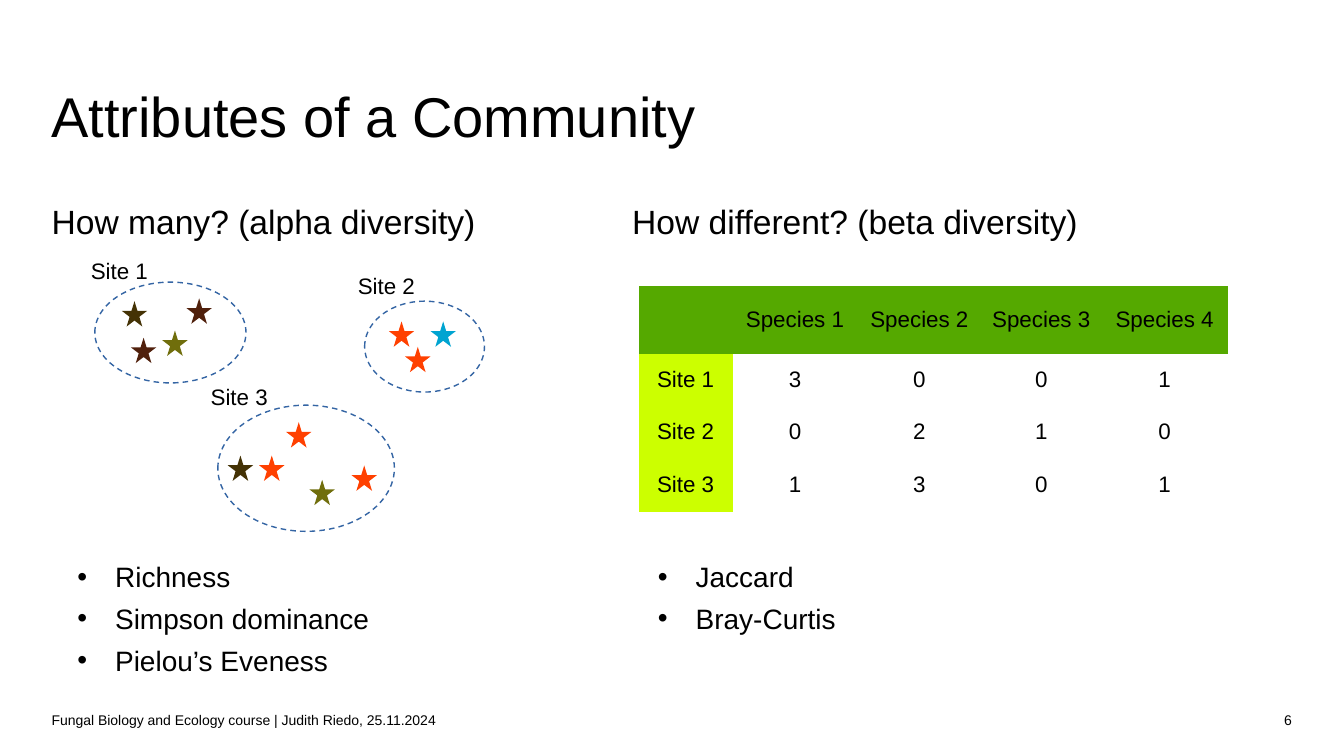
"""Build the slide on alpha and beta diversity of a community."""
from dataclasses import dataclass

from lxml import etree
from pptx import Presentation
from pptx import util as u
from pptx.dml.color import RGBColor
from pptx.enum import dml, shapes, text
from pptx.oxml import ns


@dataclass(frozen=True)
class Theme:
    font: str = "Arial"
    ink: str = "000000"
    paper: str = "FFFFFF"
    outline: str = "3465A4"
    header: str = "55A900"
    site: str = "CCFF00"
    brown: str = "443205"
    maroon: str = "50200C"
    olive: str = "706E0C"
    orange: str = "FF4000"
    blue: str = "00A4D1"
    title_size: int = 40
    heading_size: int = 24
    bullet_size: int = 20
    label_size: int = 16
    footer_size: int = 10


theme = Theme()


def style(paragraph, size, align=text.PP_ALIGN.LEFT):
    paragraph.alignment = align
    paragraph.font.name = theme.font
    paragraph.font.size = u.Pt(size)
    paragraph.font.color.rgb = RGBColor.from_string(theme.ink)


def place(holder, left, top, width, height, anchor=text.MSO_ANCHOR.TOP):
    holder.left, holder.top = u.Cm(left), u.Cm(top)
    holder.width, holder.height = u.Cm(width), u.Cm(height)
    frame = holder.text_frame
    frame.margin_left = frame.margin_right = frame.margin_top = frame.margin_bottom = 0
    frame.word_wrap = True
    frame.auto_size = text.MSO_AUTO_SIZE.NONE
    frame.vertical_anchor = anchor
    return frame


deck = Presentation()
deck.slide_width, deck.slide_height = u.Cm(33.87), u.Cm(19.05)
slide = deck.slides.add_slide(deck.slide_layouts[3])

title = place(slide.shapes.title, 1.3, 0.94, 31.27, 3.91, text.MSO_ANCHOR.MIDDLE)
title.text = "Attributes of a Community"
style(title.paragraphs[0], theme.title_size)

questions = [
    (1, 1.3, 14.63, "How many? (alpha diversity)",
     ["Richness", "Simpson dominance", "Pielou’s Eveness"]),
    (2, 15.93, 16.64, "How different? (beta diversity)", ["Jaccard", "Bray-Curtis"]),
]
for index, left, width, question, measures in questions:
    body = place(slide.placeholders[index], left, 5.05, width, 12.5)
    heading = body.paragraphs[0]
    heading.text = question
    heading_props = heading._p.get_or_add_pPr()
    heading_props.set("marL", "0")
    heading_props.set("indent", "0")
    etree.SubElement(heading_props, ns.qn("a:buNone"))
    heading.space_before = u.Pt(0)
    style(heading, theme.heading_size)
    for rank, measure in enumerate(measures):
        bullet = body.add_paragraph()
        bullet.text = measure
        bullet.level = 1
        bullet_props = bullet._p.get_or_add_pPr()
        bullet_props.set("marL", str(u.Cm(1.6)))
        bullet_props.set("indent", str(u.Cm(-0.95)))
        etree.SubElement(bullet_props, ns.qn("a:buFont"), typeface=theme.font)
        etree.SubElement(bullet_props, ns.qn("a:buChar"), char="•")
        bullet.space_before = u.Pt(5.7 if rank else 228)
        style(bullet, theme.bullet_size)

footers = [
    (1.3, 27.36, "Fungal Biology and Ecology course | Judith Riedo, 25.11.2024",
     text.PP_ALIGN.LEFT),
    (28.65, 3.91, "6", text.PP_ALIGN.RIGHT),
]
for left, width, wording, align in footers:
    footer = place(slide.shapes.add_textbox(0, 0, 0, 0), left, 17.75, width, 0.79,
                   text.MSO_ANCHOR.MIDDLE)
    footer.text = wording
    style(footer.paragraphs[0], theme.footer_size, align)

counts = [
    ["", "Species 1", "Species 2", "Species 3", "Species 4"],
    ["Site 1", "3", "0", "0", "1"],
    ["Site 2", "0", "2", "1", "0"],
    ["Site 3", "1", "3", "0", "1"],
]
column_widths = [2.36, 3.15, 3.12, 3.02, 3.2]
row_heights = [1.7, 1.32, 1.32, 1.35]
table_frame = slide.shapes.add_table(
    len(counts), len(column_widths), u.Cm(16.1), u.Cm(7.21),
    u.Cm(sum(column_widths)), u.Cm(sum(row_heights)))
abundance = table_frame.table
abundance.horz_banding = False
style_id = next(table_frame._element.iter(ns.qn("a:tableStyleId")))
style_id.text = "{2D5ABB26-0587-4C30-8999-92F81FD0307C}"
for column, width in zip(abundance.columns, column_widths):
    column.width = u.Cm(width)
for r, (row, height) in enumerate(zip(counts, row_heights)):
    abundance.rows[r].height = u.Cm(height)
    for c, entry in enumerate(row):
        cell = abundance.cell(r, c)
        cell.text = entry
        cell.vertical_anchor = text.MSO_ANCHOR.MIDDLE
        style(cell.text_frame.paragraphs[0], theme.label_size, text.PP_ALIGN.CENTER)
        if r and c:
            cell.fill.background()
        else:
            cell.fill.solid()
            cell.fill.fore_color.rgb = RGBColor.from_string(
                theme.site if r else theme.header)

sites = [
    ("Site 3", (5.31, 9.65), (5.49, 10.21, 4.45, 3.18),
     [(7.21, 10.64, theme.orange), (6.53, 11.48, theme.orange),
      (5.74, 11.48, theme.brown), (7.8, 12.09, theme.olive),
      (8.86, 11.73, theme.orange)]),
    ("Site 2", (9.02, 6.86), (9.19, 7.59, 3.02, 2.29),
     [(9.8, 8.1, theme.orange), (10.85, 8.1, theme.blue),
      (10.21, 8.74, theme.orange)]),
    ("Site 1", (2.29, 6.48), (2.39, 7.11, 3.81, 2.54),
     [(3.07, 7.59, theme.brown), (3.3, 8.51, theme.maroon),
      (4.09, 8.33, theme.olive), (4.7, 7.52, theme.maroon)]),
]
star_size = u.Cm(0.64)
for name, label_corner, outline, individuals in sites:
    site = slide.shapes.add_group_shape()
    area = site.shapes.add_shape(shapes.MSO_SHAPE.OVAL, *map(u.Cm, outline))
    area.shadow.inherit = False
    area.fill.solid()
    area.fill.fore_color.rgb = RGBColor.from_string(theme.paper)
    area.line.color.rgb = RGBColor.from_string(theme.outline)
    area.line.width = u.Pt(1)
    area.line.dash_style = dml.MSO_LINE.DASH
    for left, top, species in individuals:
        star = site.shapes.add_shape(shapes.MSO_SHAPE.STAR_5_POINT,
                                     u.Cm(left), u.Cm(top), star_size, star_size)
        star.shadow.inherit = False
        star.fill.solid()
        star.fill.fore_color.rgb = RGBColor.from_string(species)
        star.line.fill.background()
    label = place(site.shapes.add_textbox(0, 0, 0, 0), *label_corner, 2.82, 1.63)
    label.text = name
    style(label.paragraphs[0], theme.label_size)
    left, top = label_corner
    site_right = max(left + 2.82, outline[0] + outline[2])
    site_bottom = outline[1] + outline[3]
    site.left, site.top = u.Cm(left), u.Cm(top)
    site.width, site.height = u.Cm(site_right - left), u.Cm(site_bottom - top)
    extent = site._element.grpSpPr.find(ns.qn("a:xfrm"))
    for tag, across, down in (("a:chOff", "x", "y"), ("a:chExt", "cx", "cy")):
        child = extent.find(ns.qn(tag))
        source = extent.find(ns.qn(tag.replace("ch", "").replace("O", "o").replace("E", "e")))
        child.set(across, source.get(across))
        child.set(down, source.get(down))

deck.save("out.pptx")
